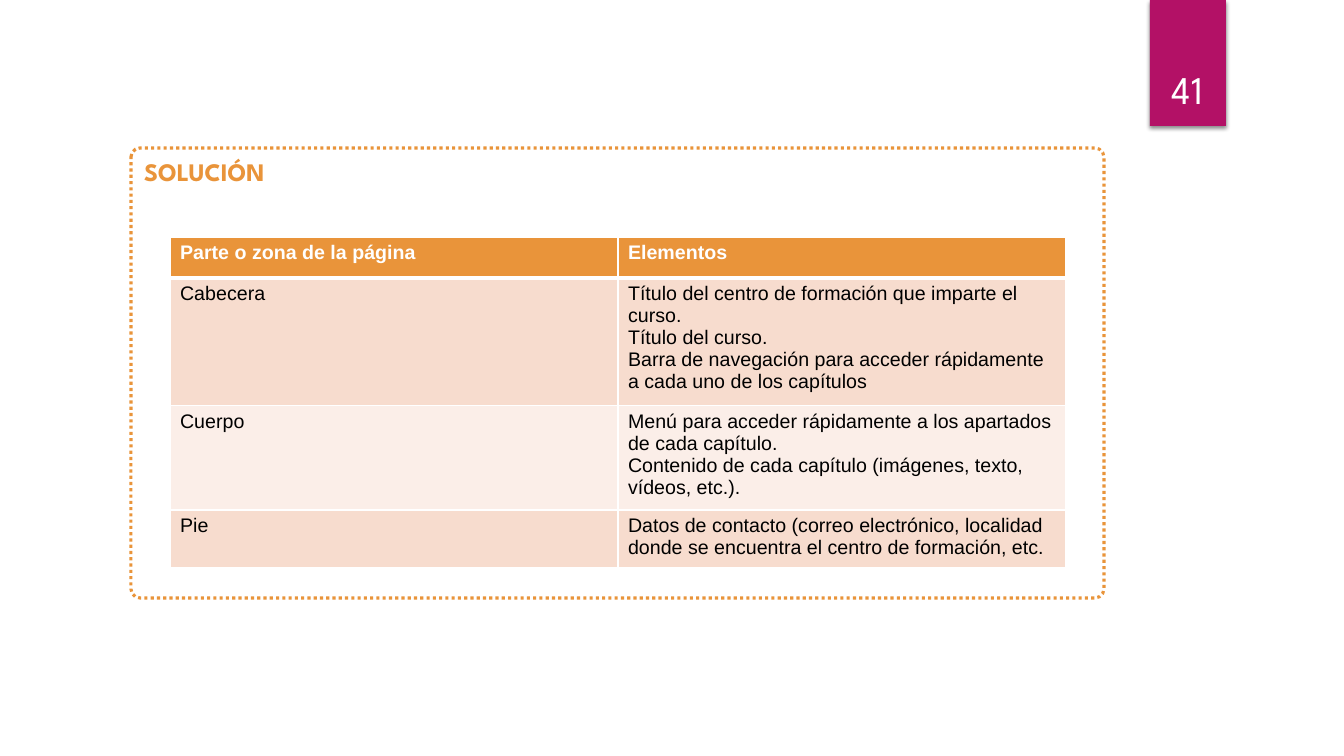
from dataclasses import dataclass

from lxml.etree import SubElement
from pptx import Presentation
from pptx.dml.color import RGBColor
from pptx.enum.dml import MSO_LINE
from pptx.enum.shapes import MSO_SHAPE as Preset
from pptx.enum.text import MSO_ANCHOR as Anchor, MSO_AUTO_SIZE as AutoSize, PP_ALIGN as Align
from pptx.oxml.ns import qn
from pptx.slide import Slide
from pptx.table import _Cell as Cell
from pptx.text.text import TextFrame
from pptx.util import Emu, Pt

PX = 914400 / 100.8
DISPLAY_FONT = "League Spartan"
TABLE_FONT = "Arial"
ORANGE = RGBColor(0xE9, 0x94, 0x3A)
MAGENTA = RGBColor(0xB3, 0x11, 0x66)
PEACH = RGBColor(0xF7, 0xDC, 0xCE)
CREAM = RGBColor(0xFB, 0xEE, 0xE8)
WHITE = RGBColor(0xFF, 0xFF, 0xFF)
BLACK = RGBColor(0x00, 0x00, 0x00)


@dataclass(frozen=True)
class Box:
    left: int
    top: int
    width: int
    height: int

    def emu(self) -> tuple[Emu, Emu, Emu, Emu]:
        return px(self.left), px(self.top), px(self.width), px(self.height)


@dataclass(frozen=True)
class PageZone:
    """One table row: a zone of the page and the elements it holds."""
    zone: str
    elements: str
    height: int


HEADER = PageZone("Parte o zona de la página", "Elementos", 41)
ZONES = [
    PageZone("Cabecera",
             "Título del centro de formación que imparte el curso.\n"
             "Título del curso.\n"
             "Barra de navegación para acceder rápidamente a cada uno de los capítulos", 120),
    PageZone("Cuerpo",
             "Menú para acceder rápidamente a los apartados de cada capítulo.\n"
             "Contenido de cada capítulo (imágenes, texto, vídeos, etc.).", 98),
    PageZone("Pie",
             "Datos de contacto (correo electrónico, localidad donde se encuentra "
             "el centro de formación, etc.", 54),
]
PAGE_TAB = Box(1150, 0, 76, 126)
PAGE_NUMBER = Box(1141, 32, 93, 85)
FRAME = Box(131, 148, 973, 450)
HEADING = Box(134, 151, 967, 45)
ZONE_TABLE = Box(170, 237, 896, 313)


def px(length: int) -> Emu:
    return Emu(round(length * PX))


def style_text(frame: TextFrame, font: str, size: int, color: RGBColor,
               bold: bool = False, align: Align = Align.LEFT) -> None:
    for paragraph in frame.paragraphs:
        paragraph.alignment = align
        for run in paragraph.runs:
            run.font.name = font
            run.font.size = Pt(size)
            run.font.bold = bold
            run.font.color.rgb = color


def add_page_tab(slide: Slide) -> None:
    tab = slide.shapes.add_shape(Preset.RECTANGLE, *PAGE_TAB.emu())
    tab.fill.solid()
    tab.fill.fore_color.rgb = MAGENTA
    tab.line.fill.background()
    effects = SubElement(tab.fill._xPr, qn("a:effectLst"))
    shadow = SubElement(effects, qn("a:outerShdw"), blurRad=str(Pt(3)), dist=str(Pt(2)),
                        dir="5400000", algn="ctr", rotWithShape="0")
    shade = SubElement(shadow, qn("a:srgbClr"), val=str(BLACK))
    SubElement(shade, qn("a:alpha"), val="45000")

    number = slide.shapes.add_textbox(*PAGE_NUMBER.emu()).text_frame
    number.word_wrap = True
    number.vertical_anchor = Anchor.BOTTOM
    number.text = "41"
    style_text(number, DISPLAY_FONT, 28, WHITE, align=Align.CENTER)


def add_solution_frame(slide: Slide) -> None:
    frame = slide.shapes.add_shape(Preset.ROUNDED_RECTANGLE, *FRAME.emu())
    frame.adjustments[0] = 0.02
    frame.shadow.inherit = False
    frame.fill.background()
    frame.line.color.rgb = ORANGE
    frame.line.width = Pt(2.25)
    frame.line.dash_style = MSO_LINE.ROUND_DOT


def place_heading(slide: Slide) -> None:
    title = slide.shapes.title
    title.left, title.top, title.width, title.height = HEADING.emu()
    heading = title.text_frame
    heading.auto_size = AutoSize.NONE
    heading.vertical_anchor = Anchor.TOP
    heading.text = "SOLUCIÓN"
    style_text(heading, DISPLAY_FONT, 18, ORANGE, bold=True)


def set_borders(cell: Cell, widths: dict[str, int]) -> None:
    """Draw white borders; the fill must be set afterwards to keep the XML order."""
    properties = cell._tc.get_or_add_tcPr()
    for side, width in widths.items():
        border = SubElement(properties, qn(f"a:{side}"), w=str(Pt(width)))
        SubElement(SubElement(border, qn("a:solidFill")), qn("a:srgbClr"), val=str(WHITE))


def add_zone_table(slide: Slide) -> None:
    rows = [HEADER, *ZONES]
    table = slide.shapes.add_table(len(rows), 2, *ZONE_TABLE.emu()).table
    for column in table.columns:
        column.width = px(ZONE_TABLE.width // 2)
    for index, entry in enumerate(rows):
        is_header = index == 0
        table.rows[index].height = px(entry.height)
        fill = ORANGE if is_header else (PEACH if index % 2 else CREAM)
        widths = {"lnL": 1, "lnR": 1, "lnT": 3 if index == 1 else 1, "lnB": 3 if is_header else 1}
        for cell, text in zip(table.rows[index].cells, (entry.zone, entry.elements)):
            cell.text_frame.text = text
            style_text(cell.text_frame, TABLE_FONT, 14, WHITE if is_header else BLACK, is_header)
            set_borders(cell, widths)
            cell.fill.solid()
            cell.fill.fore_color.rgb = fill


def main() -> None:
    deck = Presentation()
    deck.slide_width, deck.slide_height = px(1344), px(756)
    title_only = deck.slide_layouts[5]
    slide = deck.slides.add_slide(title_only)
    add_page_tab(slide)
    add_solution_frame(slide)
    place_heading(slide)
    add_zone_table(slide)
    deck.save("out.pptx")


if __name__ == "__main__":
    main()
